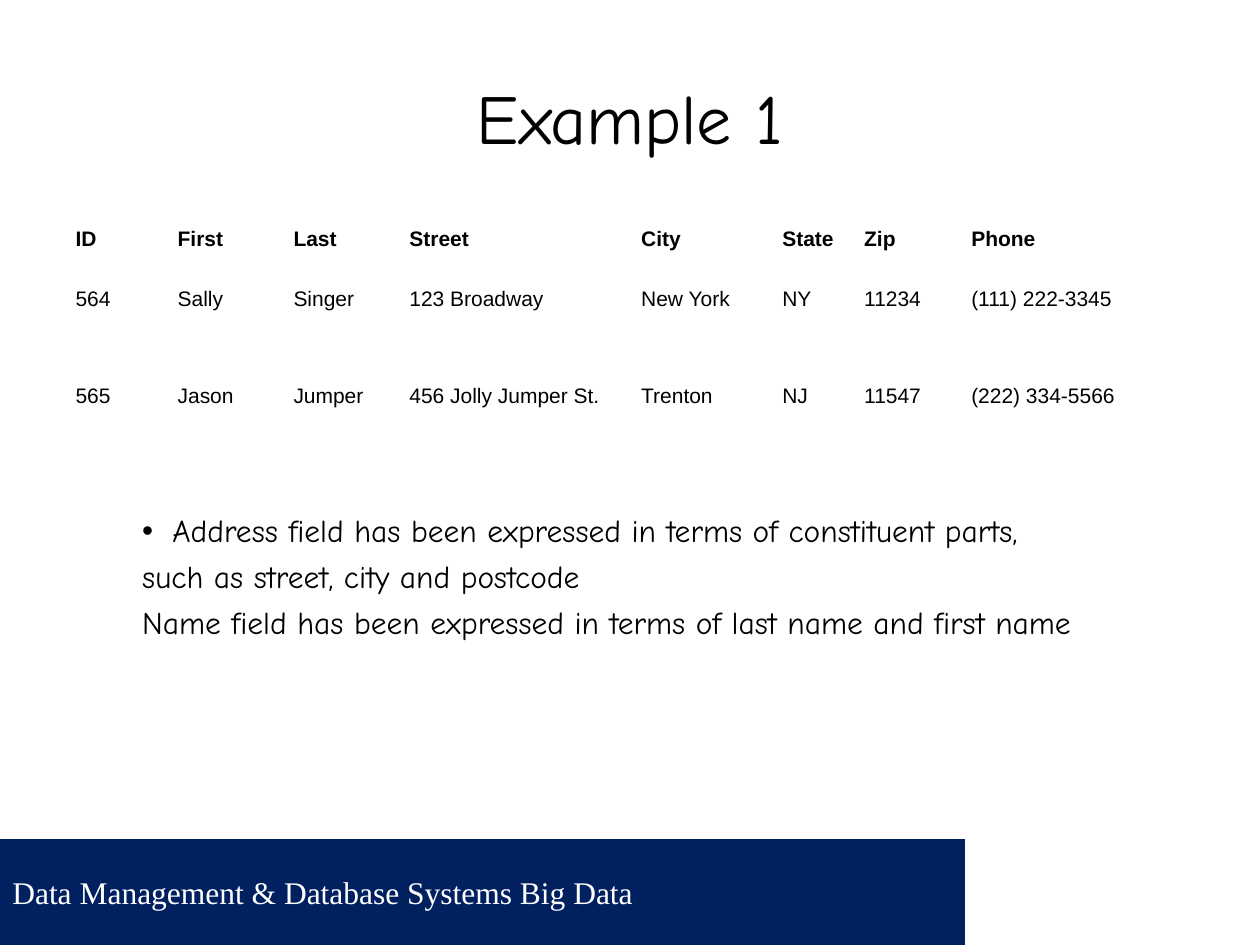
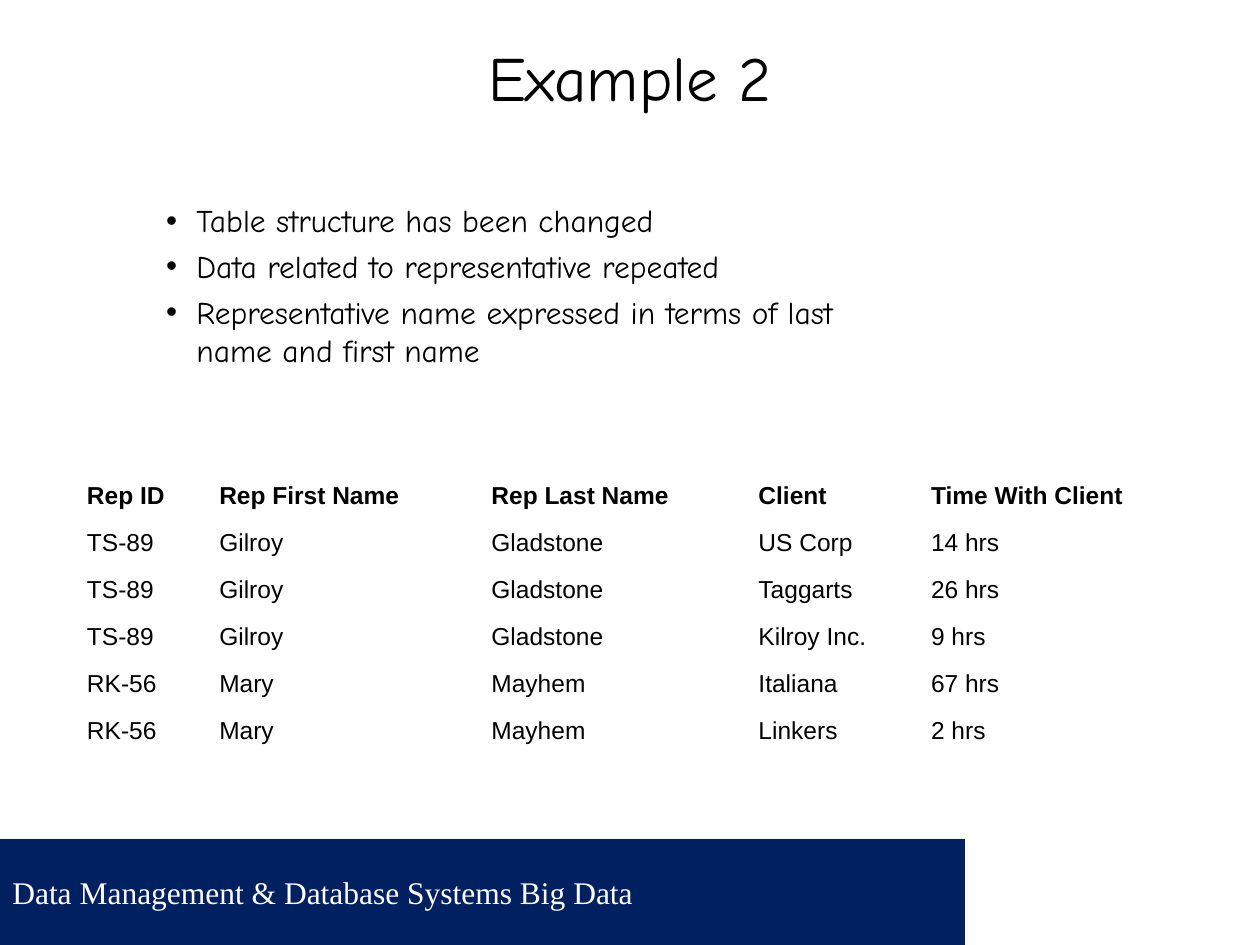
from lxml import etree
from pptx import Presentation
from pptx import util as u
from pptx.dml import color
from pptx.enum import shapes, text
from pptx.oxml import ns

NAVY, WHITE, BLACK = "002060", "FFFFFF", "000000"
HAND_FONT, TABLE_FONT, FOOTER_FONT = "Comic Neue", "Arial", "Times New Roman"
FOOTER_TEXT = "Data Management & Database Systems Big Data"
FOOTER_TOP, FOOTER_HEIGHT = 6.66, 0.84
BULLET_INDENT = 0.24


def rgb(hex_string):
    return color.RGBColor.from_string(hex_string)


def write_text(frame, lines, font=HAND_FONT, size=18, ink=BLACK, bold=False,
               align=text.PP_ALIGN.LEFT, gap=4.5, bullets=0, hanging=False):
    """Write one paragraph per line; the first `bullets` lines get a bullet."""
    for index, line in enumerate(lines):
        paragraph = frame.paragraphs[0] if index == 0 else frame.add_paragraph()
        paragraph.text = line
        paragraph.alignment = align
        if index:
            paragraph.space_before = u.Pt(gap)
        if index < bullets:
            properties = paragraph._p.get_or_add_pPr()
            indent = u.Inches(BULLET_INDENT)
            properties.set("marL", str(indent if hanging else 0))
            properties.set("indent", str(-indent if hanging else 0))
            bullet_color = etree.SubElement(properties, ns.qn("a:buClr"))
            etree.SubElement(bullet_color, ns.qn("a:srgbClr"), val=ink)
            etree.SubElement(properties, ns.qn("a:buFont"), typeface="Arial")
            etree.SubElement(properties, ns.qn("a:buChar"), char="•")
            if not hanging:
                tabs = etree.SubElement(properties, ns.qn("a:tabLst"))
                etree.SubElement(tabs, ns.qn("a:tab"), pos=str(indent), algn="l")
                paragraph.runs[0].text = "\t" + line
        for run in paragraph.runs:
            run.font.name = font
            run.font.size = u.Pt(size)
            run.font.bold = bold
            run.font.color.rgb = rgb(ink)


# Content of the two slides
examples = [
    {
        "title": "Example 1", "title_size": 40, "title_height": 1.25,
        "table_at": (0.5, 1.75), "table_size": 12,
        "columns": [0.81, 0.92, 0.92, 1.84, 1.12, 0.65, 0.85, 1.88],
        "row_heights": [0.3, 0.64, 0.91],
        "rows": [
            ["ID", "First", "Last", "Street", "City", "State", "Zip", "Phone"],
            ["564", "Sally", "Singer", "123 Broadway", "New York", "NY",
             "11234", "(111) 222-3345"],
            ["565", "Jason", "Jumper", "456 Jolly Jumper St.", "Trenton", "NJ",
             "11547", "(222) 334-5566"],
        ],
        "notes_at": (1.03, 4.01, 7.58, 1.13), "wrap": False,
        "bullets": 1, "hanging": False,
        "notes": [
            "Address field has been expressed in terms of constituent parts,",
            "such as street, city and postcode",
            "Name field has been expressed in terms of last name and first name",
        ],
    },
    {
        "title": "Example 2", "title_size": 36, "title_height": 0.61,
        "table_at": (0.59, 3.75), "table_size": 14,
        "columns": [1.05, 2.16, 2.12, 1.37, 2.28],
        "row_heights": [0.373] * 6,
        "rows": [
            ["Rep ID", "Rep First Name", "Rep Last Name", "Client", "Time With Client"],
            ["TS-89", "Gilroy", "Gladstone", "US Corp", "14 hrs"],
            ["TS-89", "Gilroy", "Gladstone", "Taggarts", "26 hrs"],
            ["TS-89", "Gilroy", "Gladstone", "Kilroy Inc.", "9 hrs"],
            ["RK-56", "Mary", "Mayhem", "Italiana", "67 hrs"],
            ["RK-56", "Mary", "Mayhem", "Linkers", "2 hrs"],
        ],
        "notes_at": (1.22, 1.55, 5.98, 1.43), "wrap": True,
        "bullets": 3, "hanging": True,
        "notes": [
            "Table structure has been changed",
            "Data related to representative repeated",
            "Representative name expressed in terms of last name and first name",
        ],
    },
]

presentation = Presentation()
presentation.slide_width = u.Inches(10)
presentation.slide_height = u.Inches(7.5)

for example in examples:
    slide = presentation.slides.add_slide(presentation.slide_layouts[6])

    # Footer band with a white block at its right end
    for left, width, fill, label in [(0, 10, NAVY, FOOTER_TEXT), (7.66, 2.34, WHITE, None)]:
        band = slide.shapes.add_shape(
            shapes.MSO_SHAPE.RECTANGLE, u.Inches(left), u.Inches(FOOTER_TOP),
            u.Inches(width), u.Inches(FOOTER_HEIGHT))
        band.shadow.inherit = False
        band.fill.solid()
        band.fill.fore_color.rgb = rgb(fill)
        band.line.fill.background()
        if label:
            band.text_frame.vertical_anchor = text.MSO_ANCHOR.MIDDLE
            write_text(band.text_frame, [label], font=FOOTER_FONT, ink=WHITE)

    # Title
    title = slide.shapes.add_textbox(
        u.Inches(0.5), u.Inches(0.3), u.Inches(9), u.Inches(example["title_height"]))
    title.text_frame.word_wrap = True
    title.text_frame.vertical_anchor = text.MSO_ANCHOR.MIDDLE
    write_text(title.text_frame, [example["title"]], size=example["title_size"],
               align=text.PP_ALIGN.CENTER)

    # Table without fills, bold header row
    rows, columns, heights = example["rows"], example["columns"], example["row_heights"]
    left, top = example["table_at"]
    table = slide.shapes.add_table(
        len(rows), len(columns), u.Inches(left), u.Inches(top),
        u.Inches(sum(columns)), u.Inches(sum(heights))).table
    table.horz_banding = False
    for column, width in zip(table.columns, columns):
        column.width = u.Inches(width)
    for row_index, (values, height) in enumerate(zip(rows, heights)):
        table.rows[row_index].height = u.Inches(height)
        for cell, value in zip(table.rows[row_index].cells, values):
            cell.fill.background()
            cell.vertical_anchor = text.MSO_ANCHOR.MIDDLE
            write_text(cell.text_frame, [value], font=TABLE_FONT,
                       size=example["table_size"], bold=row_index == 0)

    # Remarks on the table
    notes = slide.shapes.add_textbox(*map(u.Inches, example["notes_at"]))
    notes.text_frame.word_wrap = example["wrap"]
    notes.text_frame.auto_size = text.MSO_AUTO_SIZE.SHAPE_TO_FIT_TEXT
    write_text(notes.text_frame, example["notes"],
               bullets=example["bullets"], hanging=example["hanging"])

presentation.save("out.pptx")
